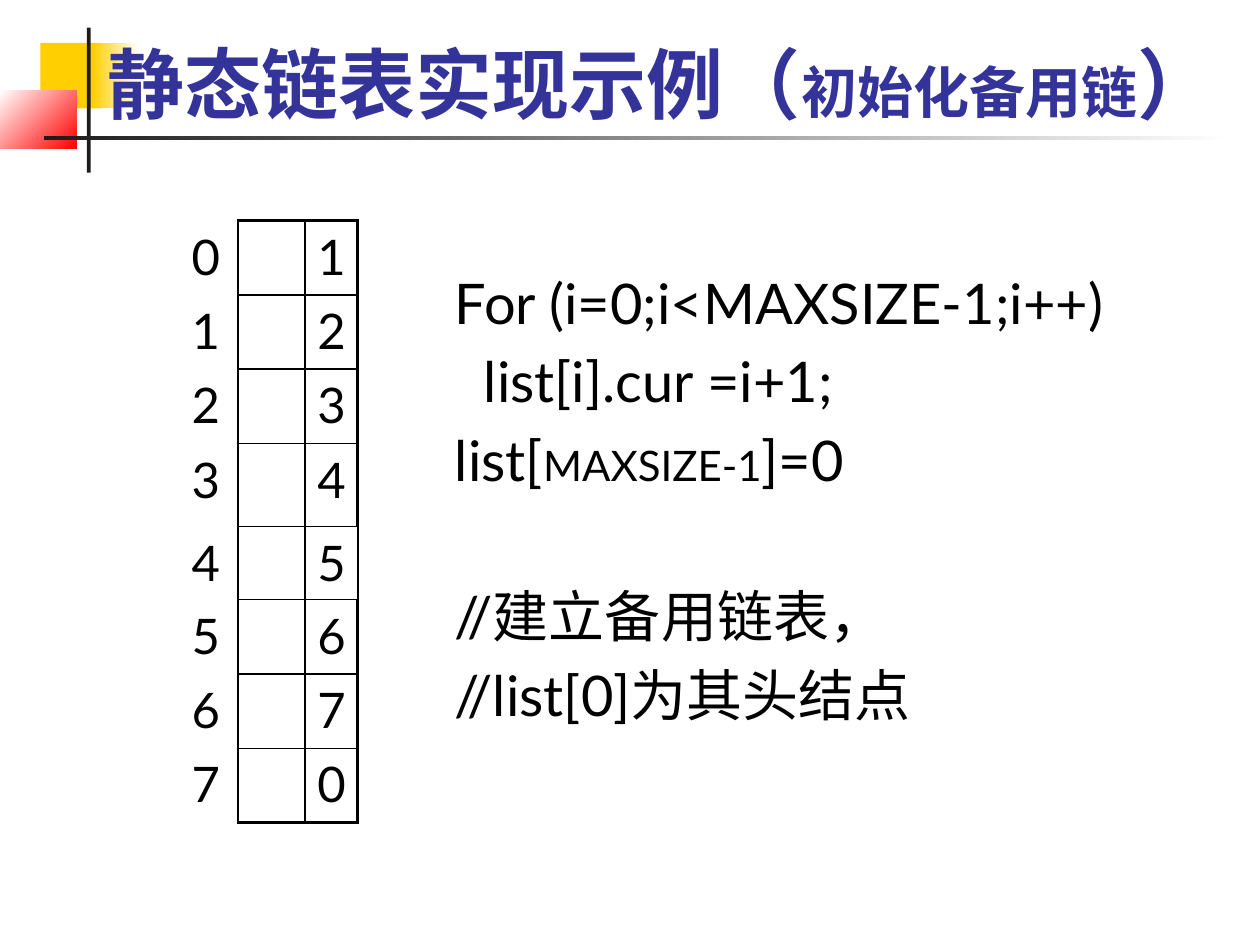
"""Build the slide on setting up the spare chain of a static linked list."""
from typing import NamedTuple

from lxml import etree
from pptx import Presentation
from pptx.dml.color import RGBColor
from pptx.enum import shapes, text
from pptx.oxml import ns
from pptx.util import Inches, Pt

BLACK, WHITE, GOLD, RED = "000000", "FFFFFF", "FFCF01", "FF0000"
DARK, NAVY = "1C1C1C", "333399"
THIN, THICK = 1, 2.25


class Block(NamedTuple):
    left: float
    top: float
    width: float
    height: float
    hues: tuple
    angle: int = 0


class Line(NamedTuple):
    runs: tuple
    indent: float = 0.38
    before: float = 6.4


BLOCKS = [
    Block(0.32, 0.34, 0.48, 0.52, (GOLD,)),
    Block(0.74, 0.34, 0.36, 0.52, (GOLD, WHITE)),
    Block(0, 0.72, 0.61, 0.46, (WHITE, RED), 315),
    Block(0.69, 0.22, 0.03, 1.15, (DARK,)),
    Block(0.35, 1.08, 9.45, 0.03, (DARK, WHITE)),
]
TITLE = (("静态链表实现示例（", 44), ("初始化备用链", 32), ("）", 44))
LINES = [
    Line((("For (i=0;i<MAXSIZE-1;i++)", 32),), before=0),
    Line((("list[i].cur =i+1;", 32),), indent=0.61),
    Line((("list[", 32), ("MAXSIZE-1", 24), ("]=0", 32))),
    Line((("//建立备用链表，", 32),), before=51),
    Line((("//list[0]为其头结点", 32),)),
]
LINKS = [1, 2, 3, 4, 5, 6, 7, 0]
COLS = [0.47, 0.53, 0.42]
ROWS = [0.59, 0.59, 0.59, 0.66, 0.58, 0.59, 0.59, 0.59]


def rgb(hue: str) -> RGBColor:
    return RGBColor.from_string(hue)


def write(para, words: str, size: float, hue: str = BLACK, bold: bool = False) -> None:
    run = para.add_run()
    run.text = words
    font = run.font
    font.name, font.size, font.bold = "Lato", Pt(size), bold
    font.color.rgb = rgb(hue)


def place(shape, left: float, top: float, width: float, height: float) -> None:
    shape.left, shape.top = Inches(left), Inches(top)
    shape.width, shape.height = Inches(width), Inches(height)


def draw_block(slide, block: Block) -> None:
    box = [Inches(n) for n in block[:4]]
    shape = slide.shapes.add_shape(shapes.MSO_SHAPE.RECTANGLE, *box)
    shape.shadow.inherit = False
    shape.line.fill.background()
    if len(block.hues) == 1:
        shape.fill.solid()
        shape.fill.fore_color.rgb = rgb(block.hues[0])
        return
    shape.fill.gradient()
    shape.fill.gradient_angle = block.angle
    for stop, hue in zip(shape.fill.gradient_stops, block.hues):
        stop.color.rgb = rgb(hue)


def fill_title(title) -> None:
    place(title, 0.67, -0.24, 9.16, 1.31)
    frame = title.text_frame
    frame.auto_size = text.MSO_AUTO_SIZE.NONE
    frame.vertical_anchor = text.MSO_ANCHOR.BOTTOM
    para = frame.paragraphs[0]
    para.alignment = text.PP_ALIGN.CENTER
    for words, size in TITLE:
        write(para, words, size, hue=NAVY, bold=True)


def fill_body(body) -> None:
    place(body, 3.51, 2.08, 6.29, 5.17)
    frame = body.text_frame
    frame.auto_size = text.MSO_AUTO_SIZE.NONE
    for i, line in enumerate(LINES):
        para = frame.add_paragraph() if i else frame.paragraphs[0]
        para.space_before = Pt(line.before)
        props = para._p.get_or_add_pPr()
        props.set("marL", str(Inches(line.indent)))
        props.set("indent", str(Inches(-0.38)))
        etree.SubElement(props, ns.qn("a:buNone"))
        for words, size in line.runs:
            write(para, words, size)


def set_edges(cell, **edges: float) -> None:
    props = cell._tc.get_or_add_tcPr()
    for side in "LRTB":
        width = edges.get(side, 0)
        edge = etree.SubElement(props, ns.qn(f"a:ln{side}"), w=str(Pt(width)))
        if width:
            fill = etree.SubElement(edge, ns.qn("a:solidFill"))
            etree.SubElement(fill, ns.qn("a:srgbClr"), val=BLACK)
        else:
            etree.SubElement(edge, ns.qn("a:noFill"))


def draw_table(slide) -> None:
    box = [Inches(n) for n in (1.42, 1.75, sum(COLS), sum(ROWS))]
    table = slide.shapes.add_table(len(ROWS), len(COLS), *box).table
    table.first_row = table.horz_banding = False
    for col, width in zip(table.columns, COLS):
        col.width = Inches(width)
    for i, (row, height) in enumerate(zip(table.rows, ROWS)):
        row.height = Inches(height)
        index, data, link = row.cells
        top = THICK if i == 0 else THIN
        base = THICK if i == len(ROWS) - 1 else THIN
        side = THIN if i == 4 else THICK
        set_edges(index, R=THIN)
        set_edges(data, L=THIN, R=THIN, T=top, B=base)
        set_edges(link, L=THIN, R=side, T=top, B=base)
        for cell in row.cells:
            cell.fill.background()
        write(index.text_frame.paragraphs[0], str(i), 28)
        write(link.text_frame.paragraphs[0], str(LINKS[i]), 28)


def main() -> None:
    deck = Presentation()
    deck.slide_width, deck.slide_height = Inches(10), Inches(7.5)
    slide = deck.slides.add_slide(deck.slide_layouts[1])
    title, body = slide.placeholders
    for block in BLOCKS:
        draw_block(slide, block)
    fill_title(title)
    fill_body(body)
    for holder in (title, body):
        slide.shapes._spTree.append(holder._element)
    draw_table(slide)
    deck.save("out.pptx")


if __name__ == "__main__":
    main()
